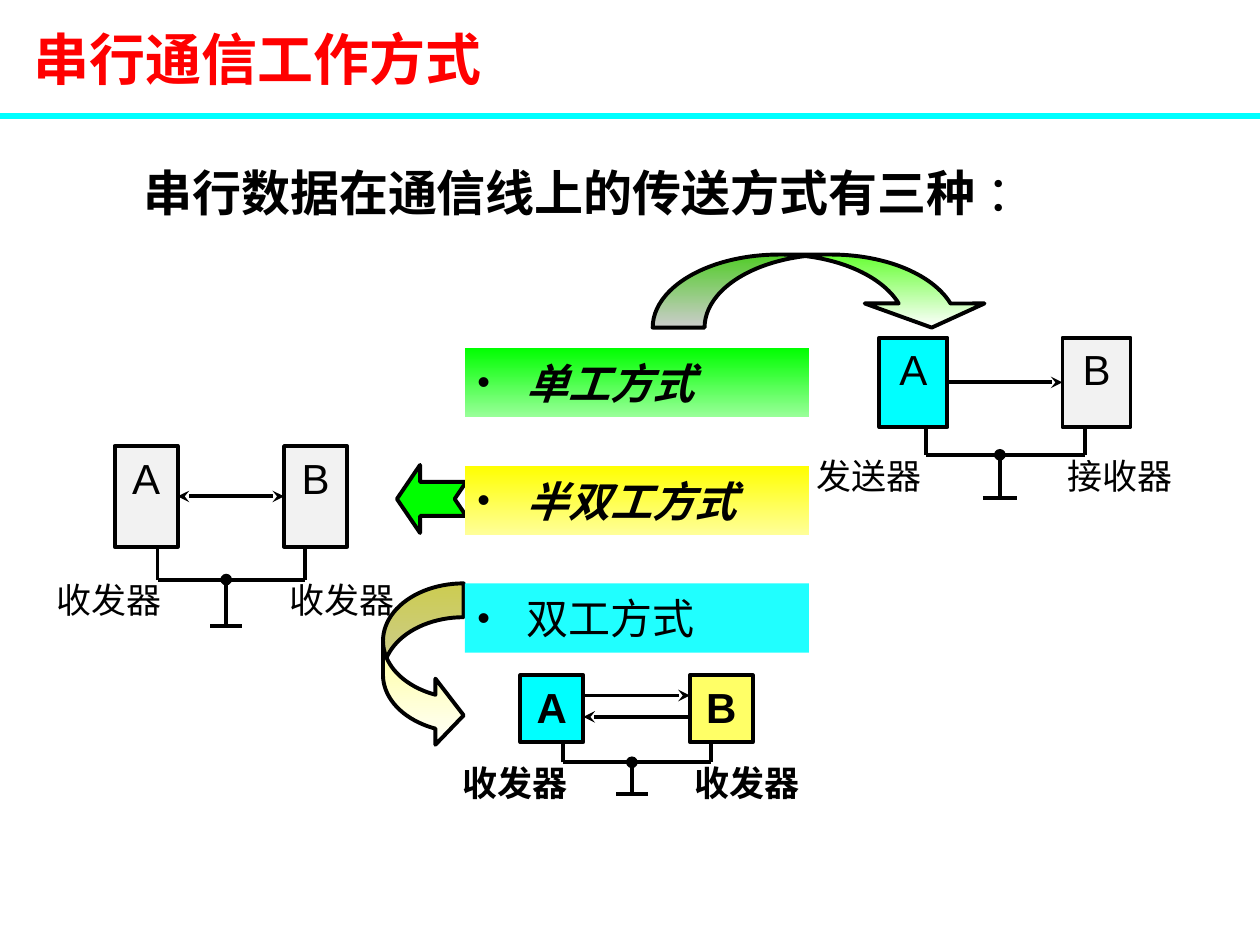
from lxml import etree
from pptx import Presentation
from pptx.dml.color import RGBColor
from pptx.enum.shapes import MSO_CONNECTOR as Connector, MSO_SHAPE as Shape
from pptx.enum.text import MSO_ANCHOR as Anchor, PP_ALIGN as Align
from pptx.oxml.ns import qn
from pptx.util import Inches, Pt

BLACK = RGBColor(0, 0, 0)
WHITE = RGBColor(255, 255, 255)
RED = RGBColor(255, 0, 0)
CYAN = RGBColor(0, 255, 255)
PALE_CYAN = RGBColor(0x20, 255, 255)
GREY = RGBColor(0xF2, 0xF2, 0xF2)
GREEN = RGBColor(0, 255, 0)
LIGHT_GREEN = RGBColor(0x99, 255, 0x99)
LIME = RGBColor(0x66, 255, 0x33)
YELLOW = RGBColor(255, 255, 0)
PALE_YELLOW = RGBColor(255, 255, 0x99)
SOFT_YELLOW = RGBColor(255, 255, 0x66)
CJK = "Noto Sans CJK SC"

TITLE = "串行通信工作方式"
INTRO = ("串行数据在通信线上的传送方式有三种", " ：")
MODES = [
    ("单工方式", True, (GREEN, LIGHT_GREEN)),
    ("半双工方式", True, (YELLOW, PALE_YELLOW)),
    ("双工方式", False, (PALE_CYAN,)),
]
CIRCUITS = [
    dict(left=6.98, top=2.68, unit=0.54, height=0.71, bus=3.61, foot=3.95,
         fills=(CYAN, GREY), labels=("发送器", "接收器"), bold=False,
         links=[(None, True, False)]),
    dict(left=0.91, top=3.54, unit=0.5, height=0.8, bus=4.6, foot=4.97,
         fills=(GREY, GREY), labels=("收发器", "收发器"), bold=False,
         links=[(None, True, True)]),
    dict(left=4.13, top=5.36, unit=0.5, height=0.53, bus=6.05, foot=6.3,
         fills=(CYAN, SOFT_YELLOW), labels=("收发器", "收发器"), bold=True,
         links=[(5.52, True, False), (5.69, False, True)]),
]
ARROWS = [
    (Shape.CURVED_DOWN_ARROW, (5.18, 2.02, 2.69, 0.58), (0.71, 1.64, 0.33), (LIME, WHITE), 0),
    (Shape.CURVED_RIGHT_ARROW, (3.04, 4.63, 0.64, 1.31), (0.42, 0.82, 0.35), (SOFT_YELLOW, WHITE), 0),
    (Shape.NOTCHED_RIGHT_ARROW, (3.15, 3.69, 0.55, 0.54), (0.5, 0.34), (GREEN,), 180),
]


def paint(shape, colors):
    if len(colors) == 1:
        shape.fill.solid()
        shape.fill.fore_color.rgb = colors[0]
        return
    shape.fill.gradient()
    shape.fill.gradient_angle = 270
    for stop, color in zip(shape.fill.gradient_stops, colors):
        stop.color.rgb = color


def add_solid(shapes, kind, place, colors, outlined=True):
    shape = shapes.add_shape(kind, *map(Inches, place))
    shape.shadow.inherit = False
    paint(shape, colors)
    if outlined:
        shape.line.color.rgb = BLACK
        shape.line.width = Pt(2.25)
    else:
        shape.line.fill.background()
    return shape


def add_line(shapes, start, end, head=None, tail=None, color=BLACK, width=2.25):
    line = shapes.add_connector(Connector.STRAIGHT, *map(Inches, (*start, *end)))
    line.line.color.rgb = color
    line.line.width = Pt(width)
    for tag, arrow in (("a:headEnd", head), ("a:tailEnd", tail)):
        if arrow:
            etree.SubElement(line.line._get_or_add_ln(), qn(tag), type=arrow)
    etree.SubElement(line._element.spPr, qn("a:effectLst"))
    return line


def style(span, size, color=BLACK, bold=False, italic=False, font=CJK):
    span.font.size = Pt(size)
    span.font.color.rgb = color
    span.font.bold = bold
    span.font.italic = italic
    span.font.name = font
    etree.SubElement(span._r.get_or_add_rPr(), qn("a:ea"), typeface=CJK)


def write(shape, text, size, align=Align.LEFT, anchor=Anchor.TOP, **look):
    frame = shape.text_frame
    frame.word_wrap = True
    frame.vertical_anchor = anchor
    frame.text = text
    para = frame.paragraphs[0]
    para.alignment = align
    style(para.runs[0], size, **look)
    return para


def add_text(shapes, place, text, size, **options):
    box = shapes.add_textbox(*map(Inches, place))
    return box, write(box, text, size, **options)


def add_bullet(para):
    props = para._p.get_or_add_pPr()
    props.set("marL", str(Inches(0.39)))
    props.set("indent", str(-Inches(0.39)))
    color = etree.SubElement(props, qn("a:buClr"))
    etree.SubElement(color, qn("a:srgbClr"), val=str(BLACK))
    etree.SubElement(props, qn("a:buSzPct"), val="86000")
    etree.SubElement(props, qn("a:buFont"), typeface="Arial")
    etree.SubElement(props, qn("a:buChar"), char="•")


def add_circuit(page, left, top, unit, height, bus, foot, fills, labels, bold, links):
    shapes = page.shapes.add_group_shape().shapes
    lefts = (left, left + 2.69 * unit)
    bottom = top + height
    stations = []
    for name, x, fill, label in zip("AB", lefts, fills, labels):
        station = add_solid(shapes, Shape.RECTANGLE, (x, top, unit, height), (fill,))
        write(station, name, 24, align=Align.CENTER, bold=bold, font="Arial")
        stations.append(station)
    for x, label in zip((left - unit, lefts[1]), labels):
        box, para = add_text(shapes, (x, bus, 2.08 * unit, 0.45), label, 20, bold=bold, font="Arial")
        frame = box.text_frame
        frame.margin_left = frame.margin_right = frame.margin_bottom = Inches(0.04)
        frame.margin_top = Inches(0.02)
        para.line_spacing = Pt(22.1)

    drops = (left + 0.68 * unit, lefts[1] + 0.33 * unit)
    stem = left + 1.77 * unit
    for x in drops:
        add_line(shapes, (x, bus), (x, bottom))
    add_line(shapes, (drops[0], bus), (drops[1], bus))
    add_line(shapes, (stem, bus), (stem, foot), head="oval")
    add_line(shapes, (stem - unit / 4, foot), (stem + unit / 4, foot))

    for level, to_b, to_a in links:
        y = level or top + height / 2
        link = add_line(shapes, (lefts[1], y), (left + unit, y),
                        "stealth" if to_b else None, "stealth" if to_a else None)
        if level is None:
            link.begin_connect(stations[1], 1)
            link.end_connect(stations[0], 3)


def main():
    deck = Presentation()
    deck.slide_width, deck.slide_height = Inches(10), Inches(7.5)
    page = deck.slides.add_slide(deck.slide_layouts[6])
    shapes = page.shapes

    add_line(shapes, (0, 0.92), (10, 0.92), color=CYAN, width=3)
    add_text(shapes, (0.17, 0, 9.83, 0.92), TITLE, 32, anchor=Anchor.MIDDLE, color=RED, bold=True)
    box, para = add_text(shapes, (1.04, 1.24, 8.13, 0.57), INTRO[0], 28, bold=True)
    colon = para.add_run()
    colon.text = INTRO[1]
    style(colon, 28)

    for circuit in CIRCUITS:
        add_circuit(page, **circuit)

    for kind, place, ratios, colors, turn in ARROWS:
        arrow = add_solid(shapes, kind, place, colors)
        for index, ratio in enumerate(ratios):
            arrow.adjustments[index] = ratio
        arrow.rotation = turn

    for row, (text, strong, colors) in enumerate(MODES):
        place = (3.69, 2.76 + 0.935 * row, 2.73, 0.55)
        band = add_solid(shapes, Shape.RECTANGLE, place, colors, outlined=False)
        para = write(band, text, 24, anchor=Anchor.MIDDLE, bold=strong, italic=strong)
        add_bullet(para)

    deck.save("out.pptx")


if __name__ == "__main__":
    main()
